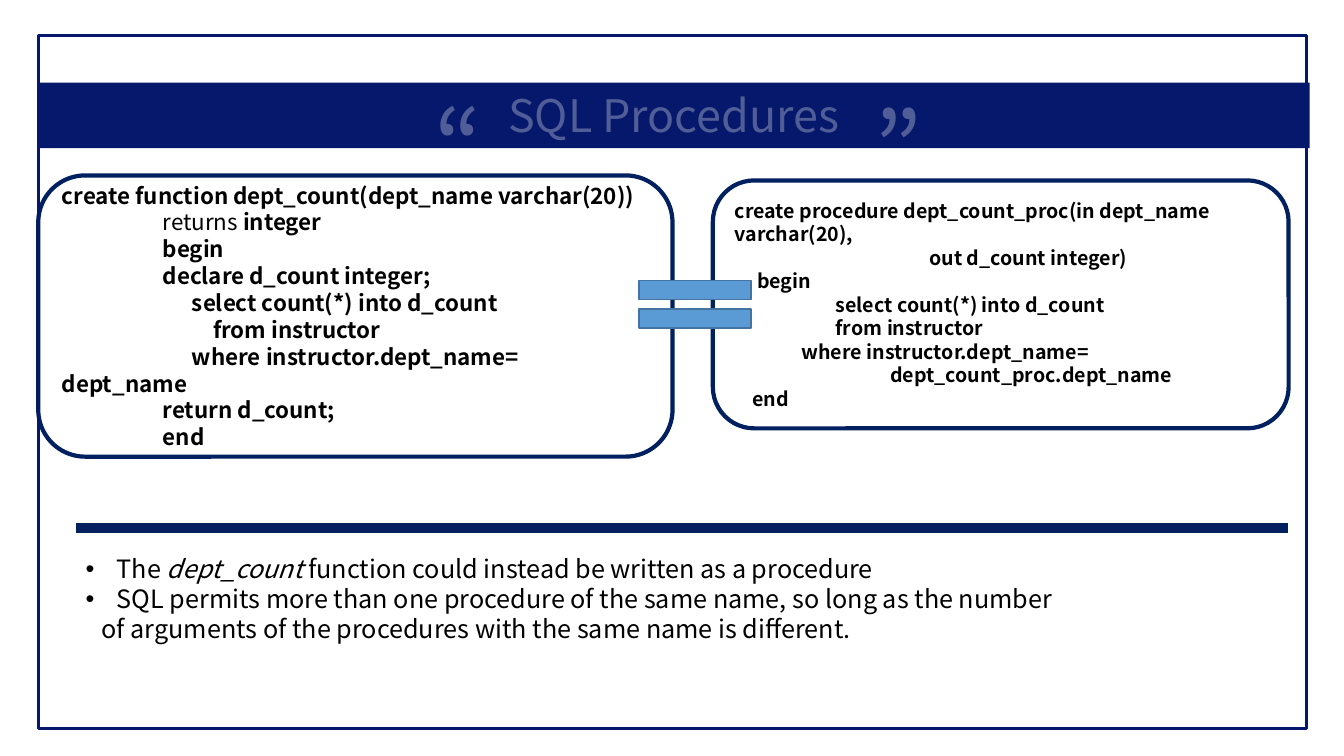
from dataclasses import dataclass

from lxml.etree import SubElement
from pptx import Presentation
from pptx.dml.color import RGBColor
from pptx.enum.shapes import MSO_CONNECTOR, MSO_SHAPE
from pptx.enum.text import MSO_ANCHOR, MSO_AUTO_SIZE, PP_ALIGN
from pptx.oxml.ns import qn
from pptx.util import Inches, Pt


@dataclass(frozen=True)
class Theme:
    font: str = "Noto Sans CJK KR"
    band: RGBColor = RGBColor(0x05, 0x18, 0x6B)
    navy: RGBColor = RGBColor(0x00, 0x20, 0x60)
    sky: RGBColor = RGBColor(0x5B, 0x9B, 0xD5)
    sky_edge: RGBColor = RGBColor(0x43, 0x73, 0x9E)
    ink: RGBColor = RGBColor(0, 0, 0)
    paper: RGBColor = RGBColor(255, 255, 255)
    title_size: int = 32
    quote_size: int = 72
    note_size: int = 18
    function_size: int = 16
    procedure_size: int = 14
    leading: float = 1.2


THEME = Theme()
WIDTH, HEIGHT = Inches(13.33), Inches(7.5)

FUNCTION_CODE = [
    (0, "create function dept_count(dept_name varchar(20))"),
    (1, "returns *integer"),
    (1, "begin"),
    (1, "declare d_count integer;"),
    (1.29, "select count(*) into d_count"),
    (1.5, "from instructor"),
    (1.29, "where instructor.dept_name=\vdept_name"),
    (1, "return d_count;"),
    (1, "end"),
]
PROCEDURE_CODE = [
    (0, "create procedure dept_count_proc(in dept_name varchar(20),"),
    (1.93, "out d_count integer)"),
    (0.22, "begin"),
    (1, "select count(*) into d_count"),
    (1, "from instructor"),
    (0.66, "where instructor.dept_name="),
    (1.54, "dept_count_proc.dept_name"),
    (0.17, "end"),
]


def column(share):
    return round(WIDTH * share / 100)


def row(share):
    return round(HEIGHT * share / 100)


def area(left, top, width, height):
    return column(left), row(top), column(width), row(height)


def add_box(page, kind, place, fill=None, line=None, weight=1):
    box = page.shapes.add_shape(kind, *area(*place))
    box.shadow.inherit = False
    if fill is None:
        box.fill.background()
    else:
        box.fill.solid()
        box.fill.fore_color.rgb = fill
    if line is None:
        box.line.fill.background()
    else:
        box.line.color.rgb = line
        box.line.width = Pt(weight)
    return box


def style(para, size, color=THEME.ink, bold=False, align=PP_ALIGN.LEFT):
    para.alignment = align
    para.line_spacing = Pt(round(size * THEME.leading, 1))
    para.font.name = THEME.font
    para.font.size = Pt(size)
    para.font.bold = bold
    para.font.color.rgb = color


def indent(para, margin, first_line=0.0):
    properties = para._p.get_or_add_pPr()
    properties.set("marL", str(Inches(margin)))
    properties.set("indent", str(Inches(first_line)))
    return properties


def add_code(page, place, lines, size):
    box = add_box(page, MSO_SHAPE.ROUNDED_RECTANGLE, place, THEME.paper, THEME.navy, 3)
    frame = box.text_frame
    frame.word_wrap = True
    frame.auto_size = MSO_AUTO_SIZE.SHAPE_TO_FIT_TEXT
    frame.vertical_anchor = MSO_ANCHOR.MIDDLE
    for number, (start, text) in enumerate(lines):
        para = frame.add_paragraph() if number else frame.paragraphs[0]
        plain, mark, strong = text.partition(" *")
        if mark:
            para.add_run().text = plain + " "
            para.runs[0].font.bold = False
            para.add_run().text = strong
        else:
            para.text = text
        style(para, size, bold=True)
        indent(para, 0, start)


def fade(fill):
    color = fill.find(qn("a:srgbClr"))
    SubElement(color, qn("a:alpha"), val="30000")


def write_faded(frame, text, size):
    frame.word_wrap = True
    frame.vertical_anchor = MSO_ANCHOR.TOP
    para = frame.paragraphs[0]
    para.text = text
    style(para, size, THEME.paper, align=PP_ALIGN.CENTER)
    span = para.runs[0]
    span.font.color.rgb = THEME.paper
    properties = span.font._element
    fade(properties.find(qn("a:solidFill")))
    outline = SubElement(properties, qn("a:ln"), w=str(Pt(0.75)))
    fill = SubElement(outline, qn("a:solidFill"))
    SubElement(fill, qn("a:srgbClr"), val=str(THEME.paper))
    fade(fill)
    properties.insert(0, outline)


def add_title(page, text, place):
    title = page.shapes.title
    title.left, title.top, title.width, title.height = area(*place)
    page.shapes._spTree.append(title._element)
    title.text_frame.auto_size = MSO_AUTO_SIZE.NONE
    write_faded(title.text_frame, text, THEME.title_size)


def add_quote(page, mark, left, top):
    box = page.shapes.add_textbox(*area(left, top, 7.58, 17.47))
    write_faded(box.text_frame, mark, THEME.quote_size)


def add_rule(page, left, right, top):
    rule = page.shapes.add_connector(
        MSO_CONNECTOR.STRAIGHT, column(left), row(top), column(right), row(top))
    rule.line.color.rgb = THEME.navy
    rule.line.width = Pt(7)
    SubElement(rule._element.spPr, qn("a:effectLst"))


def add_notes(page, place):
    frame = page.shapes.add_textbox(*area(*place)).text_frame
    frame.word_wrap = True
    notes = [
        (True, [("The ", False), ("dept_count ", True),
                ("function could instead be written as a procedure", False)]),
        (True, [("SQL permits more than one procedure of the same name, "
                 "so long as the number", False)]),
        (False, [("of arguments of the procedures with the same name is different.", False)]),
    ]
    for number, (bulleted, spans) in enumerate(notes):
        para = frame.add_paragraph() if number else frame.paragraphs[0]
        for text, italic in spans:
            span = para.add_run()
            span.text = text
            span.font.italic = italic
        style(para, THEME.note_size)
        if bulleted:
            properties = indent(para, 0.31, -0.31)
            bullet = SubElement(properties, qn("a:buChar"), char="•")
            bullet.addprevious(properties.makeelement(qn("a:buFont"), {"typeface": "Arial"}))
            properties.append(properties.find(qn("a:defRPr")))
        else:
            indent(para, 0.16)


def main():
    deck = Presentation()
    deck.slide_width, deck.slide_height = WIDTH, HEIGHT
    page = deck.slides.add_slide(deck.slide_layouts[5])
    add_code(page, (2.85, 23.2, 47.19, 37.2), FUNCTION_CODE, THEME.function_size)
    add_box(page, MSO_SHAPE.RECTANGLE, (2.85, 4.67, 94.37, 91.73), line=THEME.band, weight=2)
    add_box(page, MSO_SHAPE.RECTANGLE, (2.85, 10.93, 94.6, 8.67), THEME.band)
    add_title(page, "SQL Procedures", (12.45, 10.93, 75.39, 8.53))
    add_quote(page, "“", 30.31, 10.4)
    add_quote(page, "”", 63.09, 10.67)
    add_rule(page, 5.63, 95.87, 69.87)
    add_notes(page, (5.63, 72.53, 90.25, 13.47))
    add_code(page, (53.04, 23.87, 42.84, 32.8), PROCEDURE_CODE, THEME.procedure_size)
    add_box(page, MSO_SHAPE.MATH_EQUAL, (46.06, 34.93, 11.33, 10.67), THEME.sky, THEME.sky_edge)
    deck.save("out.pptx")


if __name__ == "__main__":
    main()
